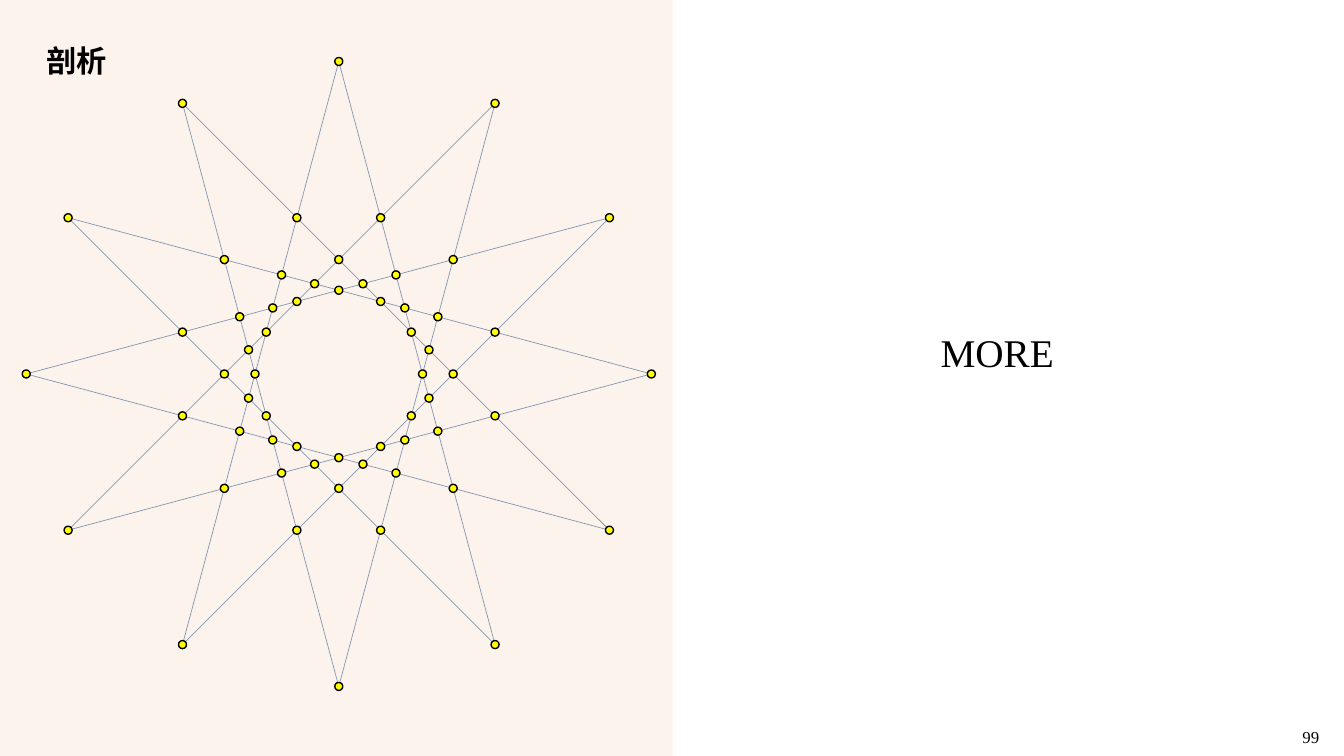
from dataclasses import dataclass
from math import cos, radians, sin

from lxml import etree
from pptx import Presentation
from pptx.dml.color import RGBColor
from pptx.enum.shapes import MSO_CONNECTOR, MSO_SHAPE
from pptx.enum.text import MSO_ANCHOR, MSO_AUTO_SIZE, PP_ALIGN
from pptx.oxml.ns import qn
from pptx.util import Inches, Pt

STRAIGHT = MSO_CONNECTOR.STRAIGHT
RECTANGLE, OVAL = MSO_SHAPE.RECTANGLE, MSO_SHAPE.OVAL
LEFT, CENTER = PP_ALIGN.LEFT, PP_ALIGN.CENTER
TOP, MIDDLE = MSO_ANCHOR.TOP, MSO_ANCHOR.MIDDLE
NO_FIT, GROW = MSO_AUTO_SIZE.NONE, MSO_AUTO_SIZE.SHAPE_TO_FIT_TEXT


@dataclass(frozen=True)
class Theme:
    panel: str = "F4B183"
    divider: str = "FBE5D6"
    chord: str = "8497B0"
    dot: str = "FFFF00"
    ink: str = "000000"
    paper: str = "FFFFFF"
    title_font: str = "Noto Sans CJK SC"
    body_font: str = "Times New Roman"
    title_size: float = 21.6
    button_size: float = 28
    number_size: float = 12


THEME = Theme()
SLIDE_SIZE = (13.33, 7.5)
PANEL_BOX = (0, 0, 6.67, 7.5)
PANEL_OPACITY, DIVIDER_OPACITY = 14, 50

TITLE = {"text": "剖析", "box": (0.36, 0.4, 5.95, 0.44)}
BUTTON = {"text": "MORE", "box": (7.92, 2.89, 3.94, 1.21)}
PAGE_NUMBER = {"text": "99", "box": (12.82, 7.16, 0.37, 0.3)}

STAR = {"center": (3.36, 3.71), "radius": 3.1, "points": 12, "step": 5}
DOT_SIZE = 0.08


def color(value):
    return RGBColor.from_string(value)


def set_opacity(fill_parent, percent):
    for color_element in fill_parent.iter(qn("a:srgbClr")):
        alpha = etree.SubElement(color_element, qn("a:alpha"))
        alpha.set("val", str(percent * 1000))


def add_shape(slide, kind, box, fill, outline=None):
    shape = slide.shapes.add_shape(kind, *map(Inches, box))
    shape.shadow.inherit = False
    shape.fill.solid()
    shape.fill.fore_color.rgb = color(fill)
    if outline:
        shape.line.color.rgb = color(outline)
        shape.line.width = Pt(1)
    else:
        shape.line.fill.background()
    return shape


def add_line(slide, start, end, stroke, width):
    line = slide.shapes.add_connector(STRAIGHT, *map(Inches, (*start, *end)))
    line.line.color.rgb = color(stroke)
    line.line.width = Pt(width)
    etree.SubElement(line.element.spPr, qn("a:effectLst"))
    return line


def write_text(shape, text, frame_format, font_format, align, spacing=1.0):
    frame = shape.text_frame
    for name, value in frame_format.items():
        setattr(frame, name, value)
    paragraph = frame.paragraphs[0]
    paragraph.alignment = align
    paragraph.line_spacing = spacing
    run = paragraph.add_run()
    run.text = text
    for name, value in font_format.items():
        setattr(run.font, name, value)
    run.font.color.rgb = color(THEME.ink)
    east_asian = etree.SubElement(run.font.element if hasattr(run.font, "element")
                                  else run.font.fill and run.text and paragraph.runs[0]._r.get_or_add_rPr(),
                                  qn("a:ea"))
    east_asian.set("typeface", font_format["name"])


def star_point(radius, angle):
    x, y = STAR["center"]
    return x + radius * cos(radians(angle)), y + radius * sin(radians(angle))


def add_star(slide):
    points, step, radius = STAR["points"], STAR["step"], STAR["radius"]
    turn = 360 / points
    for index in range(points):
        start, end = index * step, (index + 1) * step
        add_line(slide, star_point(radius, start * turn),
                 star_point(radius, end * turn), THEME.chord, 0.5)

    chord_distance = radius * cos(radians(step * turn / 2))
    for ring in range(1, step + 1):
        ring_radius = chord_distance / cos(radians(ring * turn / 2))
        for index in range(points):
            angle = index * turn + (ring + step) * turn / 2
            x, y = star_point(ring_radius, angle)
            box = (x - DOT_SIZE / 2, y - DOT_SIZE / 2, DOT_SIZE, DOT_SIZE)
            add_shape(slide, OVAL, box, THEME.dot, THEME.ink)


def add_title(slide):
    title = slide.shapes.title
    for name, value in zip(("left", "top", "width", "height"), TITLE["box"]):
        setattr(title, name, Inches(value))
    title.element.getparent().append(title.element)
    write_text(title, TITLE["text"],
               {"vertical_anchor": MIDDLE, "word_wrap": False, "auto_size": NO_FIT},
               {"name": THEME.title_font, "size": Pt(THEME.title_size), "bold": True},
               LEFT, 0.9)


def main():
    presentation = Presentation()
    presentation.slide_width, presentation.slide_height = map(Inches, SLIDE_SIZE)
    slide = presentation.slides.add_slide(presentation.slide_layouts[5])

    panel = add_shape(slide, RECTANGLE, PANEL_BOX, THEME.panel)
    set_opacity(panel.element.spPr, PANEL_OPACITY)
    right, bottom = PANEL_BOX[2:]
    divider = add_line(slide, (right, bottom), (right, 0), THEME.divider, 0.25)
    set_opacity(divider.element.spPr, DIVIDER_OPACITY)

    add_title(slide)
    add_star(slide)

    button = add_shape(slide, RECTANGLE, BUTTON["box"], THEME.paper)
    write_text(button, BUTTON["text"], {"vertical_anchor": MIDDLE, "word_wrap": True},
               {"name": THEME.body_font, "size": Pt(THEME.button_size)}, CENTER)

    number = slide.shapes.add_textbox(*map(Inches, PAGE_NUMBER["box"]))
    write_text(number, PAGE_NUMBER["text"],
               {"vertical_anchor": TOP, "word_wrap": False, "auto_size": GROW},
               {"name": THEME.body_font, "size": Pt(THEME.number_size)}, LEFT)

    presentation.save("out.pptx")


if __name__ == "__main__":
    main()
